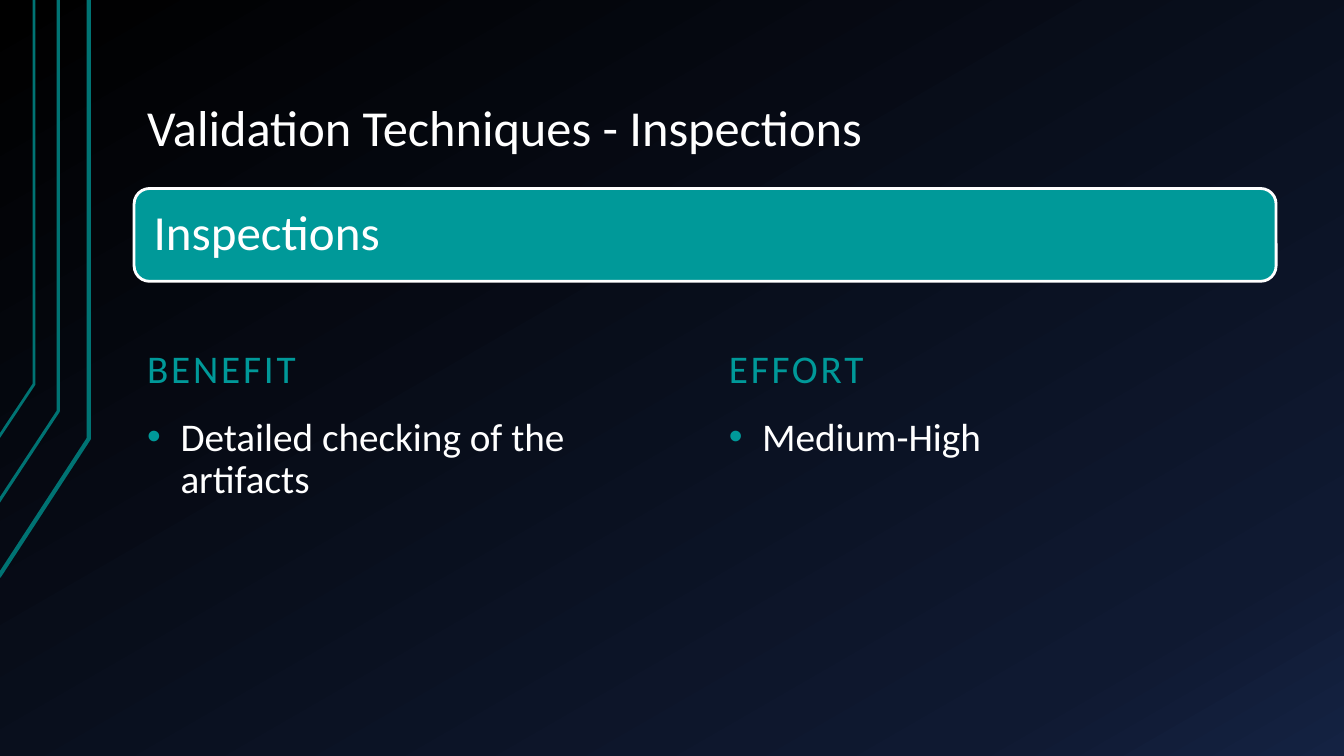
from lxml import etree
from pptx import Presentation
from pptx import util as u
from pptx.dml.color import RGBColor
from pptx.enum import shapes, text
from pptx.oxml import ns

TITLE = "Validation Techniques - Inspections"
BANNER = "Inspections"
COLUMNS = [
    ("BENEFIT", "Detailed checking of the artifacts"),
    ("EFFORT", "Medium-High"),
]
BACKGROUND = [(0, "000000"), (85, "0F1931"), (100, "142242")]
TRACES = [
    ([(-0.03, 14.53), (2.24, 11.05), (2.24, 0)], 3),
    ([(-0.05, 12.67), (1.47, 10.36), (1.47, 0)], 2.25),
    ([(-0.03, 11.02), (0.86, 9.68), (0.86, 0)], 2),
]

WHITE = RGBColor(0xFF, 0xFF, 0xFF)
TEAL = RGBColor(0x00, 0x99, 0x99)
DARK_TEAL = RGBColor(0x00, 0x73, 0x73)
FONT = "Calibri"

LEFT, WIDTH = 3.38, 28.78
COLUMN_WIDTH = 14.12
COLUMN_STEP = WIDTH - COLUMN_WIDTH
INSET_X, INSET_Y = 0.33, 0.18
BULLET_INDENT = 0.84


def add(parent, tag, **attrs):
    return etree.SubElement(parent, ns.qn(tag), attrs)


def paint_background(s):
    s.background.fill.gradient()
    grad = s.background._cSld.find(".//" + ns.qn("a:gradFill"))
    for child in list(grad):
        grad.remove(child)
    stops = add(grad, "a:gsLst")
    for pos, color in BACKGROUND:
        stop = add(stops, "a:gs", pos=str(pos * 1000))
        add(stop, "a:srgbClr", val=color)
    add(grad, "a:lin", ang=str(60 * 60000), scaled="0")


def add_trace(s, points, weight):
    pts = [(u.Cm(x), u.Cm(y)) for x, y in points]
    builder = s.shapes.build_freeform(*pts[0])
    builder.add_line_segments(pts[1:], close=False)
    sp = builder.convert_to_shape()
    sp.shadow.inherit = False
    sp.fill.background()
    sp.line.color.rgb = DARK_TEAL
    sp.line.width = u.Pt(weight)


def write(sp, content, size, color, anchor, inset_x=INSET_X, spacing=0, bullet=False):
    tf = sp.text_frame
    tf.word_wrap = True
    tf.vertical_anchor = anchor
    tf.margin_left = tf.margin_right = u.Cm(inset_x)
    tf.margin_top = tf.margin_bottom = u.Cm(INSET_Y)
    tf.text = content
    p = tf.paragraphs[0]
    p.alignment = text.PP_ALIGN.LEFT
    p.line_spacing = 0.9
    if bullet:
        pPr = p._p.get_or_add_pPr()
        pPr.set("marL", str(u.Cm(BULLET_INDENT)))
        pPr.set("indent", str(-u.Cm(BULLET_INDENT)))
        add(add(pPr, "a:buClr"), "a:srgbClr", val=str(TEAL))
        add(pPr, "a:buFont", typeface="Arial")
        add(pPr, "a:buChar", char="•")
    r = p.runs[0]
    r.font.name = FONT
    r.font.size = u.Pt(size)
    r.font.color.rgb = color
    if spacing:
        r.font._element.set("spc", str(spacing * 100))


def add_text(s, box, *args, **kwargs):
    sp = s.shapes.add_textbox(*map(u.Cm, box))
    write(sp, *args, **kwargs)


def add_banner(s):
    box = (LEFT, 4.75, WIDTH, 2.34)
    sp = s.shapes.add_shape(shapes.MSO_SHAPE.ROUNDED_RECTANGLE, *map(u.Cm, box))
    sp.shadow.inherit = False
    sp.fill.solid()
    sp.fill.fore_color.rgb = TEAL
    sp.line.color.rgb = WHITE
    sp.line.width = u.Pt(2)
    write(sp, BANNER, 35, WHITE, text.MSO_ANCHOR.MIDDLE, inset_x=0.38)


def main():
    prs = Presentation()
    prs.slide_width, prs.slide_height = u.Cm(33.87), u.Cm(19.05)
    s = prs.slides.add_slide(prs.slide_layouts[6])
    paint_background(s)
    for points, weight in TRACES:
        add_trace(s, points, weight)
    add_text(s, (LEFT, 0.76, WIDTH, 3.4), TITLE, 36, WHITE, text.MSO_ANCHOR.BOTTOM)
    for i, (heading, body) in enumerate(COLUMNS):
        x = LEFT + i * COLUMN_STEP
        add_text(s, (x, 7.52, COLUMN_WIDTH, 2.54), heading, 28, TEAL,
                 text.MSO_ANCHOR.BOTTOM, spacing=2)
        add_text(s, (x, 10.34, COLUMN_WIDTH, 8.7), body, 28, WHITE,
                 text.MSO_ANCHOR.TOP, bullet=True)
    add_banner(s)
    prs.save("out.pptx")


if __name__ == "__main__":
    main()
